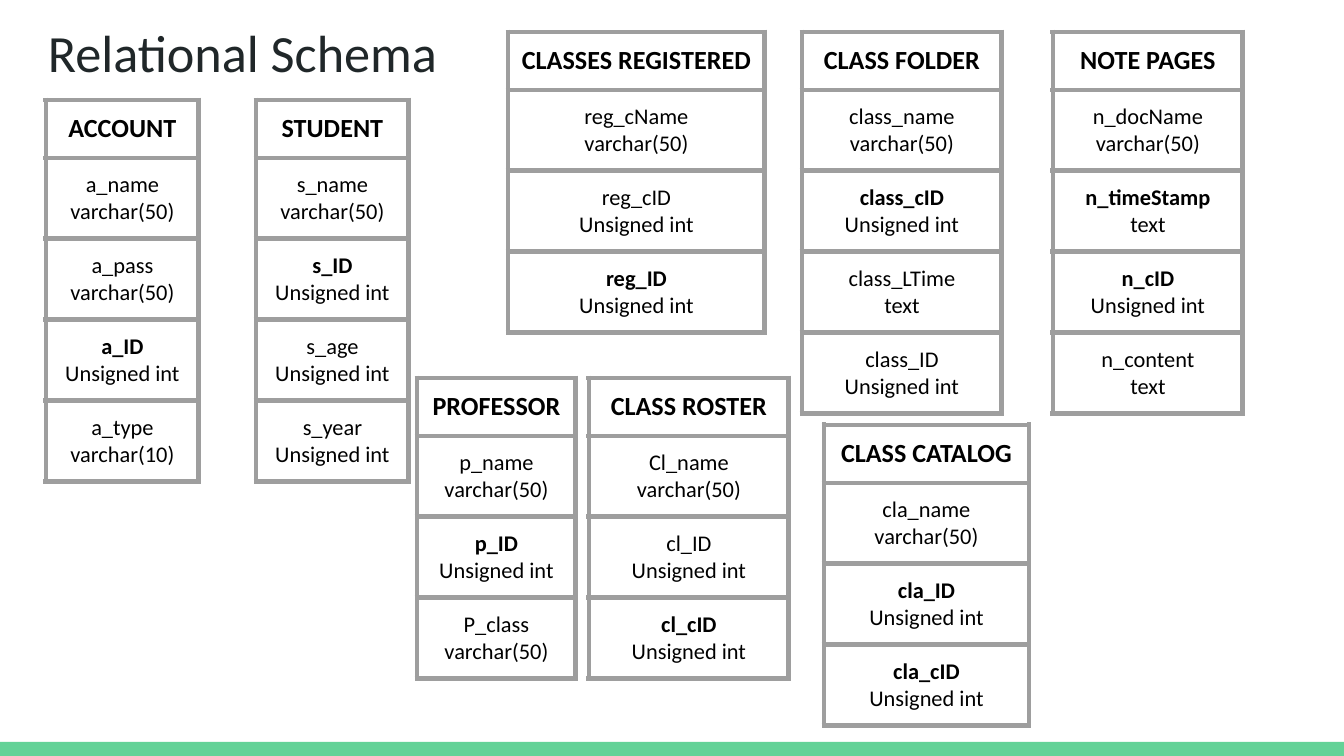
from dataclasses import dataclass

from lxml import etree
from pptx import Presentation
from pptx import util as u
from pptx.dml.color import RGBColor
from pptx.enum import shapes, text
from pptx.oxml.ns import qn

EMU_PER_PX = 914400 / 134.4
SLIDE_W, SLIDE_H = 1344, 756
HEADER_H, FIELD_H = 58, 81

VARCHAR, UINT, TEXT = "varchar(50)", "Unsigned int", "text"


@dataclass(frozen=True)
class Theme:
    font: str = "Calibri"
    title_color: str = "202729"
    text_color: str = "000000"
    border_color: str = "9E9E9E"
    bar_color: str = "63D297"
    title_size: int = 28
    header_size: int = 14
    field_size: int = 12
    border_width: int = 3
    inset: int = 13


# Each entity: name, left, top, width, fields; a field ending in * is bold
ENTITIES = [
    ("ACCOUNT", 46, 100, 153,
     [("a_name", VARCHAR), ("a_pass", VARCHAR), ("a_ID*", UINT), ("a_type", "varchar(10)")]),
    ("STUDENT", 256, 100, 153,
     [("s_name", VARCHAR), ("s_ID*", UINT), ("s_age", UINT), ("s_year", UINT)]),
    ("PROFESSOR", 417, 378, 159,
     [("p_name", VARCHAR), ("p_ID*", UINT), ("P_class", VARCHAR)]),
    ("CLASS ROSTER", 589, 378, 200,
     [("Cl_name", VARCHAR), ("cl_ID", UINT), ("cl_cID*", UINT)]),
    ("CLASSES REGISTERED", 508, 32, 257,
     [("reg_cName", VARCHAR), ("reg_cID", UINT), ("reg_ID*", UINT)]),
    ("CLASS CATALOG", 824, 425, 205,
     [("cla_name", VARCHAR), ("cla_ID*", UINT), ("cla_cID*", UINT)]),
    ("CLASS FOLDER", 802, 32, 200,
     [("class_name", VARCHAR), ("class_cID*", UINT), ("class_LTime", TEXT), ("class_ID", UINT)]),
    ("NOTE PAGES", 1053, 32, 190,
     [("n_docName", VARCHAR), ("n_timeStamp*", TEXT), ("n_cID*", UINT), ("n_content", TEXT)]),
]


def px(length):
    return u.Emu(round(length * EMU_PER_PX))


def apply(target, values):
    for key, value in values.items():
        setattr(target, key, value)


class SchemaSlide:
    def __init__(self, slide, theme):
        self.slide = slide
        self.theme = theme
        self.margins = {f"margin_{side}": px(theme.inset)
                        for side in ("left", "right", "top", "bottom")}

    def style_font(self, font, size, color, bold=False):
        apply(font, {"name": self.theme.font, "size": u.Pt(size), "bold": bold})
        font.color.rgb = RGBColor.from_string(color)

    def title(self, words, left, top, width, height):
        heading = self.slide.shapes.title
        apply(heading, {"left": px(left), "top": px(top),
                        "width": px(width), "height": px(height)})
        frame = heading.text_frame
        apply(frame, {**self.margins, "word_wrap": True,
                      "auto_size": text.MSO_AUTO_SIZE.NONE,
                      "vertical_anchor": text.MSO_ANCHOR.TOP})
        paragraph = frame.paragraphs[0]
        paragraph.alignment = text.PP_ALIGN.LEFT
        run = paragraph.add_run()
        run.text = words
        self.style_font(run.font, self.theme.title_size, self.theme.title_color)

    def bar(self, left, top, width, height):
        band = self.slide.shapes.add_shape(
            shapes.MSO_SHAPE.RECTANGLE, px(left), px(top), px(width), px(height))
        band.shadow.inherit = False
        band.fill.solid()
        band.fill.fore_color.rgb = RGBColor.from_string(self.theme.bar_color)
        band.line.fill.background()

    def cell_borders(self, cell):
        properties = cell._tc.get_or_add_tcPr()
        for side in ("lnL", "lnR", "lnT", "lnB"):
            line = etree.SubElement(properties, qn(f"a:{side}"),
                                    w=str(u.Pt(self.theme.border_width)))
            fill = etree.SubElement(line, qn("a:solidFill"))
            etree.SubElement(fill, qn("a:srgbClr"), val=self.theme.border_color)

    def cell(self, cell, lines, size):
        apply(cell, self.margins)
        self.cell_borders(cell)
        cell.fill.background()
        frame = cell.text_frame
        for index, (words, bold) in enumerate(lines):
            paragraph = frame.add_paragraph() if index else frame.paragraphs[0]
            paragraph.alignment = text.PP_ALIGN.CENTER
            run = paragraph.add_run()
            run.text = words
            self.style_font(run.font, size, self.theme.text_color, bold)

    def entity(self, name, left, top, width, fields):
        height = HEADER_H + FIELD_H * len(fields)
        table = self.slide.shapes.add_table(
            len(fields) + 1, 1, px(left), px(top), px(width), px(height)).table
        apply(table, {"first_row": False, "horz_banding": False})
        table.rows[0].height = px(HEADER_H)
        self.cell(table.cell(0, 0), [(name, True)], self.theme.header_size)
        for row, (field, kind) in enumerate(fields, start=1):
            table.rows[row].height = px(FIELD_H)
            lines = [(field.rstrip("*"), field.endswith("*")), (kind, False)]
            self.cell(table.cell(row, 0), lines, self.theme.field_size)


def main():
    deck = Presentation()
    apply(deck, {"slide_width": px(SLIDE_W), "slide_height": px(SLIDE_H)})
    schema = SchemaSlide(deck.slides.add_slide(deck.slide_layouts[5]), Theme())

    # Footer band and title
    schema.bar(0, 742, SLIDE_W, 14)
    schema.title("Relational Schema", 35, 7, 1252, 85)

    # Entity tables
    for entity in ENTITIES:
        schema.entity(*entity)

    deck.save("out.pptx")


if __name__ == "__main__":
    main()
